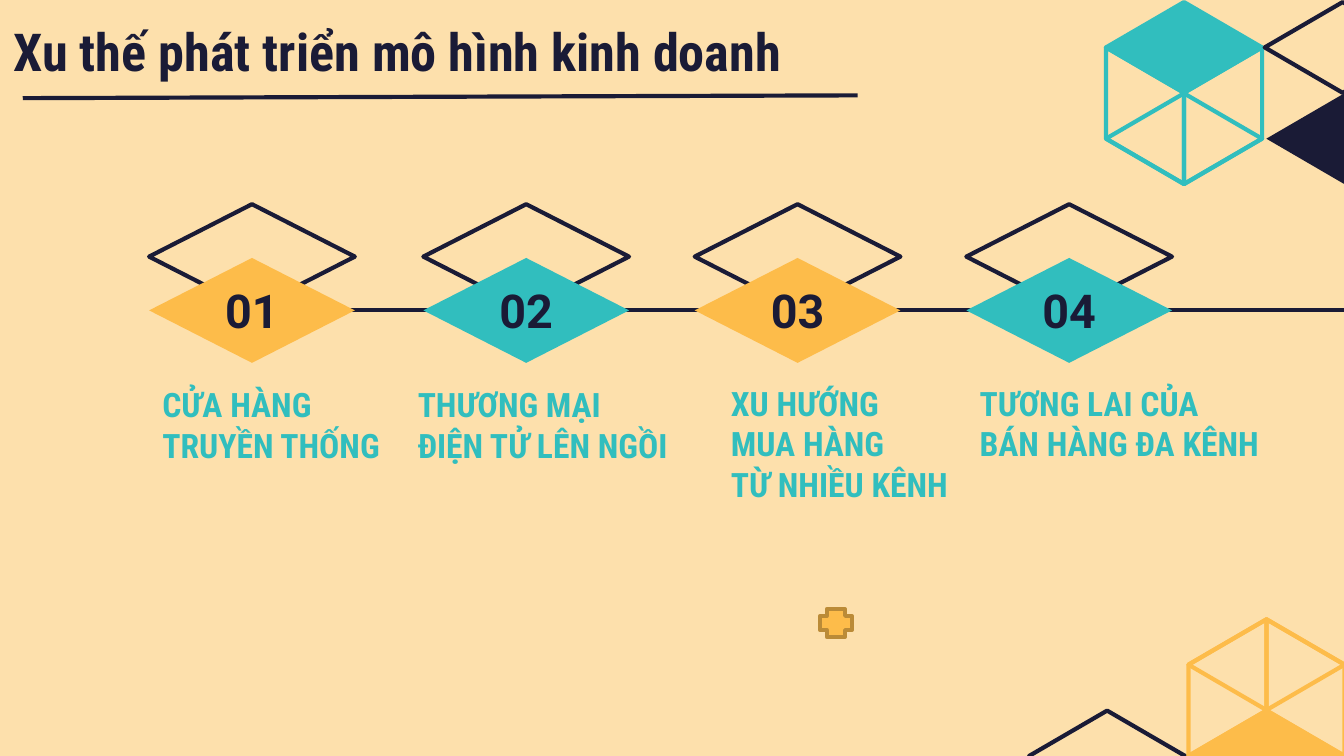
import pptx
import pptx.dml.color
import pptx.enum.shapes
import pptx.enum.text
import pptx.oxml
import pptx.oxml.ns
import pptx.util

Pt = pptx.util.Pt
Shapes = pptx.enum.shapes.MSO_SHAPE
Align = pptx.enum.text.PP_ALIGN
Anchor = pptx.enum.text.MSO_ANCHOR

NAVY, TEAL, AMBER, SAND, BROWN = "1A1B36", "31BEBE", "FDBC4A", "FDE0AC", "BB8B37"
LINE_WIDTH = 2.25
FACE_HALF_WIDTH, FACE_HALF_HEIGHT = 41.8, 24.3
CUBE_EDGE = 48.9
STEP_WIDTH, STEP_HEIGHT = 110.2, 56.2
STEP_MIDDLE = 166.3

# diamond left, colour, caption left, top and width, caption paragraphs
STEPS = [
    (79.9, AMBER, 79.9, 198.7, 134.6, ["CỬA HÀNG TRUYỀN THỐNG"]),
    (226.8, TEAL, 216.7, 198.7, 151.9, ["THƯƠNG MẠI", "ĐIỆN TỬ LÊN NGỒI"]),
    (372.2, AMBER, 384.5, 198, 159.8, ["XU HƯỚNG", "MUA HÀNG", "TỪ NHIỀU KÊNH"]),
    (517.7, TEAL, 517.7, 198, 166.3, ["TƯƠNG LAI CỦA BÁN HÀNG ĐA KÊNH"]),
]


def rgb(value):
    return pptx.dml.color.RGBColor.from_string(value)


def style_shape(shape, fill=None, line=None, line_width=LINE_WIDTH):
    shape.shadow.inherit = False
    if fill:
        shape.fill.solid()
        shape.fill.fore_color.rgb = rgb(fill)
    else:
        shape.fill.background()
    if line:
        shape.line.color.rgb = rgb(line)
        shape.line.width = Pt(line_width)
        outline = shape.line._get_or_add_ln()
        outline.append(pptx.oxml.parse_xml(f"<a:round {pptx.oxml.ns.nsdecls('a')}/>"))
    else:
        shape.line.fill.background()


def add_preset(slide, kind, left, top, width, height, **style):
    shape = slide.shapes.add_shape(kind, Pt(left), Pt(top), Pt(width), Pt(height))
    style_shape(shape, **style)


def add_polygon(slide, points, **style):
    corners = [(Pt(x), Pt(y)) for x, y in points]
    builder = slide.shapes.build_freeform(*corners[0])
    builder.add_line_segments(corners[1:], close=True)
    style_shape(builder.convert_to_shape(), **style)


def add_line(slide, start, end):
    connector = slide.shapes.add_connector(
        pptx.enum.shapes.MSO_CONNECTOR.STRAIGHT, *map(Pt, start + end))
    connector.line.color.rgb = rgb(NAVY)
    connector.line.width = Pt(LINE_WIDTH)
    effects = pptx.oxml.parse_xml(f"<a:effectLst {pptx.oxml.ns.nsdecls('a')}/>")
    connector._element.spPr.append(effects)


def write_text(shape, paragraphs, *, font, size, color, align=Align.LEFT, anchor=Anchor.TOP):
    frame = shape.text_frame
    frame.word_wrap = True
    frame.auto_size = pptx.enum.text.MSO_AUTO_SIZE.NONE
    frame.vertical_anchor = anchor
    frame.margin_left = frame.margin_right = Pt(7.2)
    frame.margin_top = frame.margin_bottom = Pt(7.2)
    for index, text in enumerate(paragraphs):
        paragraph = frame.add_paragraph() if index else frame.paragraphs[0]
        paragraph.alignment = align
        run = paragraph.add_run()
        run.text = text
        run.font.name = font
        run.font.size = Pt(size)
        run.font.bold = True
        run.font.color.rgb = rgb(color)


def add_text(slide, left, top, width, height, paragraphs, **text_format):
    box = slide.shapes.add_textbox(Pt(left), Pt(top), Pt(width), Pt(height))
    write_text(box, paragraphs, **text_format)


def add_face(slide, center_x, center_y, **style):
    """Add a horizontal cube face, seen as a diamond."""
    add_preset(slide, Shapes.DIAMOND, center_x - FACE_HALF_WIDTH, center_y - FACE_HALF_HEIGHT,
               2 * FACE_HALF_WIDTH, 2 * FACE_HALF_HEIGHT, **style)


def add_cube(slide, center_x, top_y, color, solid_top):
    """Add a wire cube seen from above (solid top) or from below (solid base)."""
    base_y = top_y + CUBE_EDGE
    slope = FACE_HALF_HEIGHT if solid_top else -FACE_HALF_HEIGHT
    add_face(slide, center_x, base_y if solid_top else top_y, line=color)
    for side_x in (center_x - FACE_HALF_WIDTH, center_x + FACE_HALF_WIDTH):
        add_polygon(slide, [(side_x, top_y), (center_x, top_y + slope),
                            (center_x, base_y + slope), (side_x, base_y)], line=color)
    add_face(slide, center_x, top_y if solid_top else base_y, fill=color, line=color)


def add_decoration(slide):
    add_face(slide, 593.1, 405, line=NAVY)
    add_cube(slide, 634.3, 25.4, TEAL, solid_top=True)
    add_face(slide, 720.2, 74.3, fill=NAVY)
    add_face(slide, 719.3, 25.4, line=NAVY)
    add_cube(slide, 678.5, 356.1, AMBER, solid_top=False)


def add_title(slide, text):
    title = slide.shapes.title
    title.left, title.top, title.width, title.height = Pt(0), Pt(2.2), Pt(625.7), Pt(49)
    write_text(title, [text], font="Roboto Condensed", size=28, color=NAVY,
               anchor=Anchor.BOTTOM)
    add_line(slide, (12.2, 52.6), (459.4, 51.1))


def add_timeline(slide):
    add_line(slide, (170.6, STEP_MIDDLE), (720, STEP_MIDDLE))
    for left, *_ in STEPS:
        add_preset(slide, Shapes.DIAMOND, left, 109.4, STEP_WIDTH, STEP_HEIGHT, line=NAVY)
    for number, (left, color, text_left, text_top, text_width, caption) in enumerate(STEPS, 1):
        add_preset(slide, Shapes.DIAMOND, left, STEP_MIDDLE - STEP_HEIGHT / 2,
                   STEP_WIDTH, STEP_HEIGHT, fill=color)
        add_text(slide, left - 5.8, 141.8, 121.7, 48.2, [f"{number:02}"],
                 font="Roboto", size=25, color=NAVY, align=Align.CENTER, anchor=Anchor.MIDDLE)
        add_text(slide, text_left, text_top, text_width, 31.7, caption,
                 font="Roboto Condensed", size=18, color=TEAL)


def main():
    presentation = pptx.Presentation()
    presentation.slide_width, presentation.slide_height = Pt(720), Pt(405)
    slide = presentation.slides.add_slide(presentation.slide_layouts[5])
    slide.background.fill.solid()
    slide.background.fill.fore_color.rgb = rgb(SAND)
    add_decoration(slide)
    add_title(slide, "Xu thế phát triển mô hình kinh doanh")
    add_timeline(slide)
    add_preset(slide, Shapes.CROSS, 439.2, 326.2, 17.3, 15.1,
               fill=AMBER, line=BROWN, line_width=2)
    presentation.save("out.pptx")


if __name__ == "__main__":
    main()
